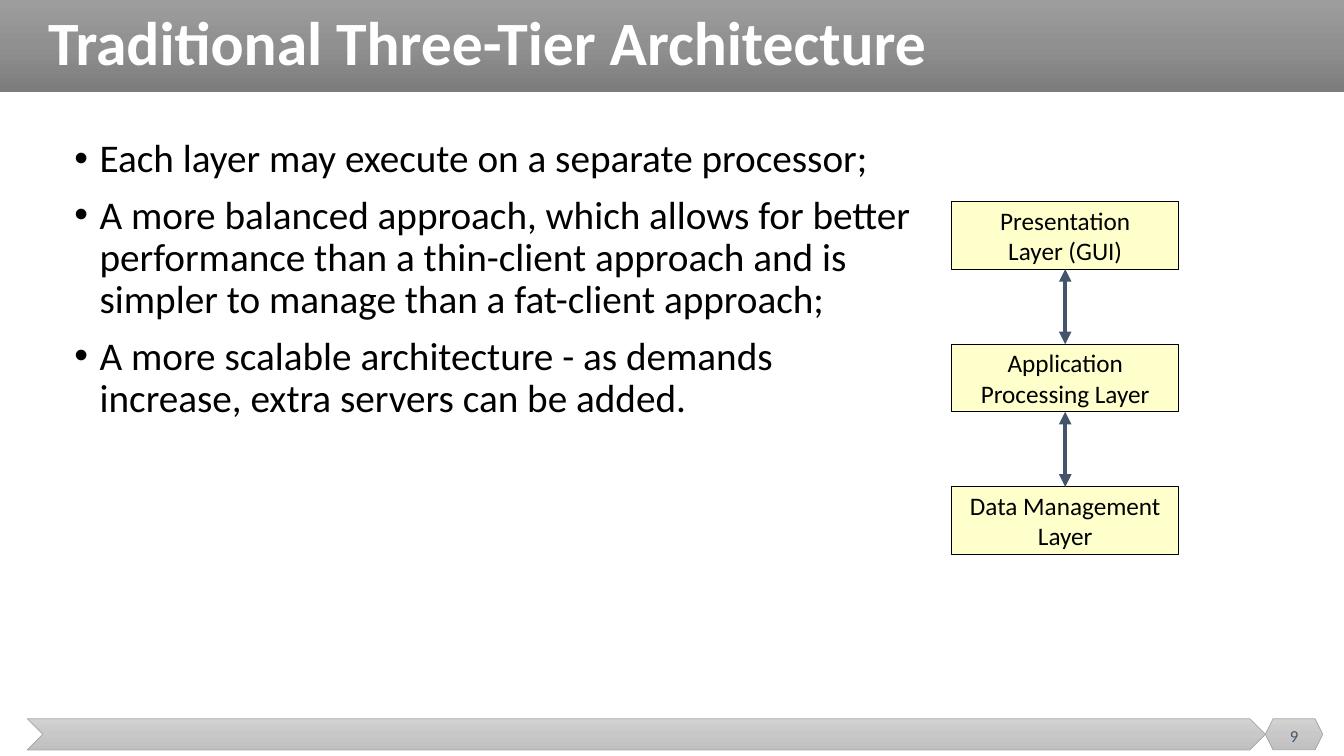
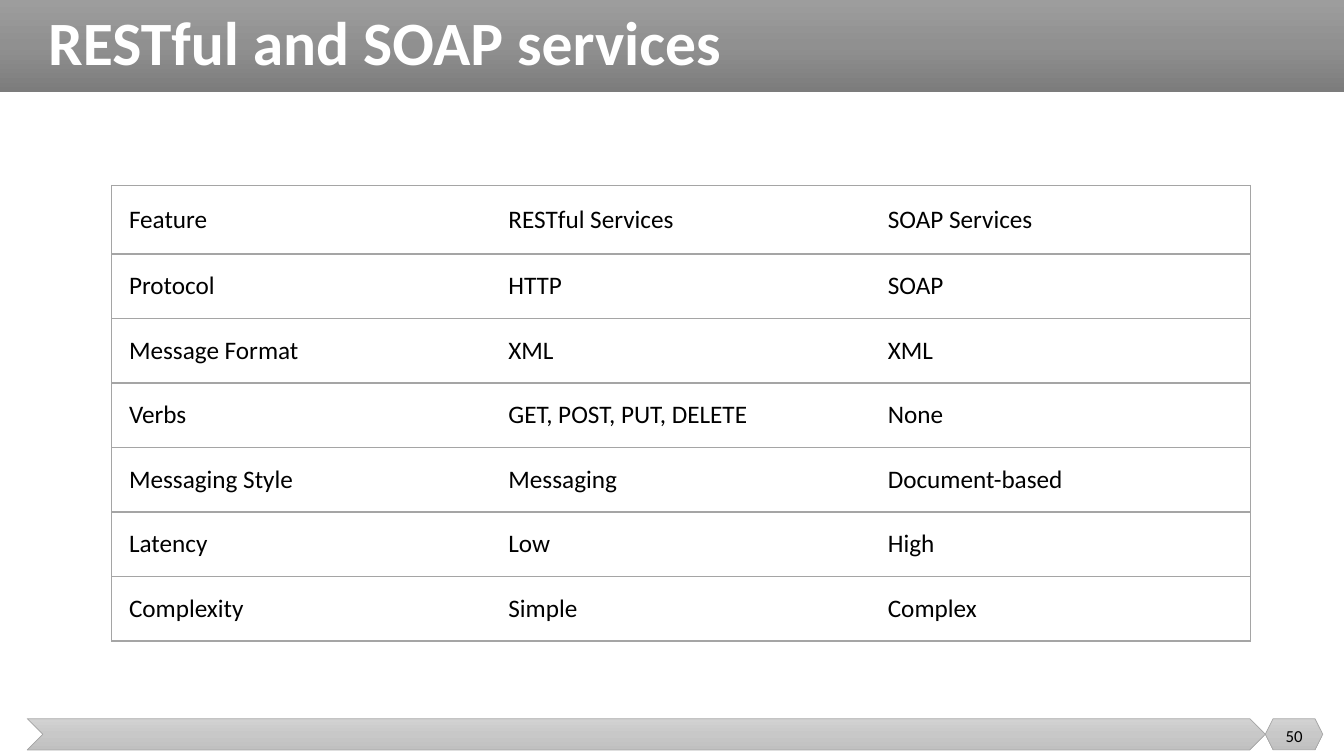
from copy import deepcopy

from pptx import Presentation
from pptx.dml.color import RGBColor
from pptx.enum import shapes, text
from pptx.oxml import ns, xmlchemy
from pptx.util import Inches, Pt

FONT = "Calibri"
COLORS = {
    "white": "FFFFFF", "black": "000000", "slate": "44546A",
    "grey": "A5A5A5", "cream": "FFFFCC",
}
BAND_GRADIENT = ("9D9D9D", "909090", "7C7C7C")
FOOTER_GRADIENT = ("D2D2D2", "C8C8C8", "C0C0C0")
PLAIN_TABLE_STYLE = "{2D5ABB26-0587-4C30-8999-92F81FD0307C}"

TIER_TITLE = "Traditional Three-Tier Architecture"
TIER_POINTS = [
    "Each layer may execute on a separate processor;",
    "A more balanced approach, which allows for better performance than a "
    "thin-client approach and is simpler to manage than a fat-client approach;",
    "A more scalable architecture - as demands increase, extra servers can be added.",
]
TIERS = [
    ("Presentation", "Layer (GUI)"),
    ("Application", "Processing Layer"),
    ("Data Management", "Layer"),
]

SERVICE_TITLE = "RESTful and SOAP services"
SERVICE_ROWS = [
    ("Feature", "RESTful Services", "SOAP Services"),
    ("Protocol", "HTTP", "SOAP"),
    ("Message Format", "XML", "XML"),
    ("Verbs", "GET, POST, PUT, DELETE", "None"),
    ("Messaging Style", "Messaging", "Document-based"),
    ("Latency", "Low", "High"),
    ("Complexity", "Simple", "Complex"),
]


def rgb(name):
    return RGBColor.from_string(COLORS[name])


def add_xml(parent, tag, **attributes):
    child = xmlchemy.OxmlElement(tag)
    for key, value in attributes.items():
        child.set(key, str(value))
    parent.append(child)
    return child


def style_para(para, size, color="black", bold=False, align=None):
    para.font.name = FONT
    para.font.size = Pt(size)
    para.font.bold = bold
    para.font.color.rgb = rgb(color)
    para.alignment = align


def write_lines(frame, lines, size, **style):
    frame.vertical_anchor = text.MSO_ANCHOR.MIDDLE
    for index, line in enumerate(lines):
        para = frame.paragraphs[0] if index == 0 else frame.add_paragraph()
        para.text = line
        style_para(para, size, **style)


def add_box(page, left, top, width, height):
    box = page.shapes.add_textbox(*map(Inches, (left, top, width, height)))
    box.text_frame.word_wrap = True
    return box


def add_shape(page, kind, left, top, width, height):
    shape = page.shapes.add_shape(kind, *map(Inches, (left, top, width, height)))
    shape.shadow.inherit = False
    return shape


def add_gradient_shape(page, kind, place, stops, outlined):
    shape = add_shape(page, kind, *place)
    shape.fill.gradient()
    shape.fill.gradient_angle = 270
    stop_list = shape.element.spPr.find(".//" + ns.qn("a:gsLst"))
    stop_list.insert(1, deepcopy(stop_list[0]))
    for index, stop in enumerate(shape.fill.gradient_stops):
        stop.position = index / 2
        stop.color.rgb = RGBColor.from_string(stops[index])
    if outlined:
        shape.line.color.rgb = rgb("grey")
        shape.line.width = Pt(0.5)
    else:
        shape.line.fill.background()


def add_page(deck, title, number, number_color):
    page = deck.slides.add_slide(deck.slide_layouts[6])
    kinds = shapes.MSO_SHAPE
    for kind, place, stops, outlined in (
        (kinds.RECTANGLE, (0, 0, 13.33, 0.91), BAND_GRADIENT, False),
        (kinds.CHEVRON, (0.27, 7.13, 12.28, 0.31), FOOTER_GRADIENT, True),
        (kinds.HEXAGON, (12.55, 7.13, 0.57, 0.31), FOOTER_GRADIENT, True),
    ):
        add_gradient_shape(page, kind, place, stops, outlined)
    heading = add_box(page, 0.38, 0, 12.74, 0.91).text_frame
    write_lines(heading, [title], 44, color="white", bold=True)
    heading.paragraphs[0].line_spacing = 0.9
    number_box = add_box(page, 12.55, 7.1, 0.57, 0.4)
    write_lines(number_box.text_frame, [str(number)], 12,
                color=number_color, align=text.PP_ALIGN.CENTER)
    return page


def add_bullets(page, points):
    frame = add_box(page, 0.64, 1.33, 8.52, 5.43).text_frame
    for index, point in enumerate(points):
        para = frame.add_paragraph() if index else frame.paragraphs[0]
        para.text = point
        para.line_spacing = 0.9
        if index:
            para.space_before = Pt(10)
        properties = para._p.get_or_add_pPr()
        properties.set("marL", str(Inches(0.25)))
        properties.set("indent", str(-Inches(0.25)))
        add_xml(properties, "a:buFont", typeface="Arial")
        add_xml(properties, "a:buChar", char="•")
        style_para(para, 28)


def add_arrow(page, x, top, bottom):
    arrow = page.shapes.add_connector(
        shapes.MSO_CONNECTOR.STRAIGHT,
        *map(Inches, (x, top, x, bottom)))
    arrow.line.color.rgb = rgb("slate")
    arrow.line.width = Pt(3)
    line = arrow.line._get_or_add_ln()
    for end in ("a:headEnd", "a:tailEnd"):
        add_xml(line, end, type="triangle")
    add_xml(arrow.element.spPr, "a:effectLst")


def add_tiers(page, tiers):
    left, width, height = 9.44, 2.25, 0.67
    first, last = 2, 4.83
    step = (last - first) / (len(tiers) - 1)
    tops = [first + index * step for index in range(len(tiers))]
    for top, lines in zip(tops, tiers):
        tier = add_shape(page, shapes.MSO_SHAPE.RECTANGLE, left, top, width, height)
        tier.fill.solid()
        tier.fill.fore_color.rgb = rgb("cream")
        tier.line.color.rgb = rgb("black")
        tier.line.width = Pt(0.75)
        tier.text_frame.word_wrap = False
        write_lines(tier.text_frame, lines, 18, align=text.PP_ALIGN.CENTER)
    for upper, lower in zip(tops, tops[1:]):
        add_arrow(page, left + width / 2, upper + height, lower)


def add_border(cell, side):
    line = add_xml(cell._tc.get_or_add_tcPr(), "a:ln" + side, w=Pt(1))
    add_xml(add_xml(line, "a:solidFill"), "a:srgbClr", val=COLORS["grey"])


def add_grid(page, rows):
    header_height, row_height, width = 0.68, 0.64, 11.29
    columns = len(rows[0])
    height = header_height + row_height * (len(rows) - 1)
    frame = page.shapes.add_table(
        len(rows), columns, *map(Inches, (1.11, 1.84, width, height)))
    table = frame.table
    table.first_row = table.horz_banding = False
    table._tbl.tblPr.find(ns.qn("a:tableStyleId")).text = PLAIN_TABLE_STYLE
    for column in table.columns:
        column.width = Inches(width / columns)
    for r, values in enumerate(rows):
        table.rows[r].height = Inches(row_height if r else header_height)
        for c, value in enumerate(values):
            cell = table.cell(r, c)
            sides = ("L" if c == 0 else "") + ("R" if c == columns - 1 else "") + "TB"
            for side in sides:
                add_border(cell, side)
            cell.fill.solid()
            cell.fill.fore_color.rgb = rgb("white")
            cell.margin_left = cell.margin_right = Inches(0.17)
            cell.margin_top = cell.margin_bottom = Inches(0.16 if r else 0.18)
            cell.vertical_anchor = text.MSO_ANCHOR.MIDDLE
            para = cell.text_frame.paragraphs[0]
            para.text = value
            style_para(para, 18)


def main():
    deck = Presentation()
    deck.slide_width, deck.slide_height = Inches(13.33), Inches(7.5)

    tier_page = add_page(deck, TIER_TITLE, 9, "slate")
    add_bullets(tier_page, TIER_POINTS)
    add_tiers(tier_page, TIERS)

    service_page = add_page(deck, SERVICE_TITLE, 50, "black")
    add_grid(service_page, SERVICE_ROWS)

    deck.save("out.pptx")


if __name__ == "__main__":
    main()
